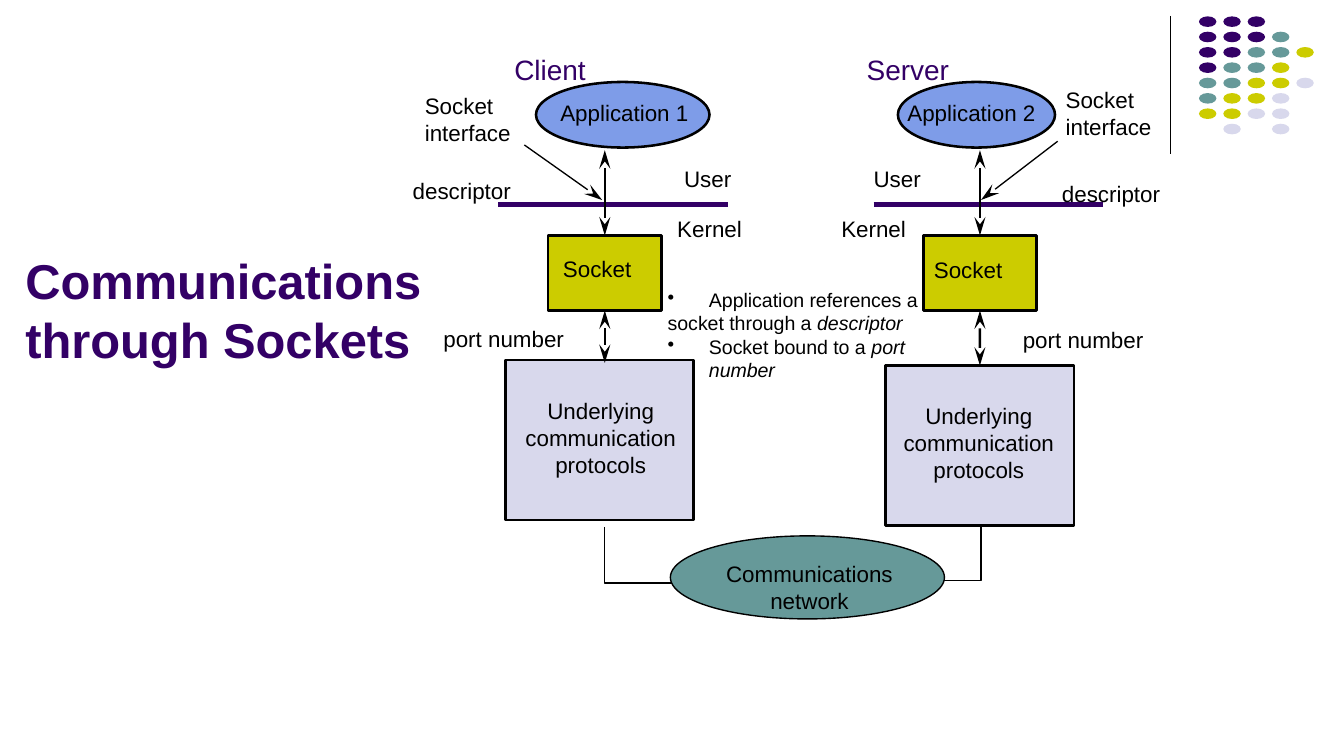
"""Build the slide on client and server communication through sockets."""
from lxml.etree import SubElement
from pptx import Presentation
from pptx.dml.color import RGBColor
from pptx.enum.shapes import MSO_CONNECTOR, MSO_SHAPE
from pptx.enum.text import MSO_ANCHOR, PP_ALIGN
from pptx.oxml.ns import qn
from pptx.util import Cm, Pt

HUES = {"plum": "330066", "teal": "669999", "lime": "CCCC00",
        "pale": "D8D8EC", "blue": "7E9CE8", "black": "000000"}

deck = Presentation()
deck.slide_width, deck.slide_height = Cm(25.4), Cm(14.29)
slide = deck.slides.add_slide(deck.slide_layouts[6])
shapes = slide.shapes


def draw(kind, box, fill, width=0):
    shape = shapes.add_shape(kind, *map(Cm, box))
    shape.shadow.inherit = False
    shape.fill.solid()
    shape.fill.fore_color.rgb = RGBColor.from_string(HUES[fill])
    if width:
        shape.line.color.rgb = RGBColor.from_string(HUES["black"])
        shape.line.width = Pt(width)
    else:
        shape.line.fill.background()
    return shape


def link(ends, width, hue="black", heads=()):
    line = shapes.add_connector(MSO_CONNECTOR.STRAIGHT, *map(Cm, ends))
    line.line.color.rgb = RGBColor.from_string(HUES[hue])
    line.line.width = Pt(width)
    edge = line.line._get_or_add_ln()
    for head in heads:
        SubElement(edge, qn(f"a:{head}"), type="stealth", w="med", len="lg")
    SubElement(line._element.spPr, qn("a:effectLst"))
    return line


link((22.12, 0.3, 22.12, 2.92), 0.75)
codes = {"P": "plum", "T": "teal", "Y": "lime", "L": "pale"}
dots = ["PPP", "PPPT", "PPTTY", "PTTY", "TTYYL", "TYYL", "YYLL", "-L-L"]
for row, marks in enumerate(dots):
    for col, mark in enumerate(marks):
        if mark in codes:
            spot = (22.66 + 0.46 * col, 0.31 + 0.29 * row, 0.33, 0.2)
            draw(MSO_SHAPE.OVAL, spot, codes[mark])

for start, *rest in [
    [(18.54, 9.93), (18.54, 10.97), (16.87, 10.97)],
    [(11.43, 9.96), (11.43, 11.02), (13.49, 11.02)],
]:
    path = shapes.build_freeform(*map(Cm, start), scale=1.0)
    path.add_line_segments([tuple(map(Cm, spot)) for spot in rest], close=False)
    wire = path.convert_to_shape()
    wire.shadow.inherit = False
    wire.fill.background()
    wire.line.color.rgb = RGBColor.from_string(HUES["black"])
    wire.line.width = Pt(0.7)
draw(MSO_SHAPE.OVAL, (12.67, 10.13, 5.18, 1.57), "teal", 0.75)

sides = [
    (11.43, 10.13, 3.28, 9.55, 6.81, (9.91, 2.74, 11.38, 3.78)),
    (18.52, 16.97, 2.97, 16.74, 6.91, (19.99, 2.67, 18.54, 3.78)),
]
for mid, left, wide, base, top, hint in sides:
    draw(MSO_SHAPE.OVAL, (left, 1.55, wide, 1.24), "blue", 1.35)
    socket = draw(MSO_SHAPE.RECTANGLE, (mid - 1.07, 4.45, 2.14, 1.42), "lime", 1.35)
    stack = draw(MSO_SHAPE.RECTANGLE, (base, top, 3.56, 3.02), "pale", 1.35)
    link((mid - 2.01, 3.86, mid + 2.33, 3.86), 2.7, "plum")
    both = ("headEnd", "tailEnd")
    upper = link((mid, 2.84, mid, 4.45), 1.35, heads=both)
    upper.end_connect(socket, 0)
    lower = link((mid, 5.87, mid, 6.86), 1.35, heads=both)
    lower.begin_connect(socket, 2)
    if abs(base + 1.78 - mid) < 0.01:
        lower.end_connect(stack, 0)
    link(hint, 0.7, heads=("tailEnd",))

plain = {"size": Pt(12), "bold": False, "hue": "black", "pad": 0,
         "anchor": MSO_ANCHOR.TOP, "align": PP_ALIGN.LEFT}
title = {**plain, "size": Pt(26.2), "bold": True, "hue": "plum",
         "pad": 0.25, "anchor": MSO_ANCHOR.BOTTOM}
role = {**plain, "size": Pt(15), "hue": "plum", "pad": 0.25}
block = {**plain, "pad": 0.25, "anchor": MSO_ANCHOR.MIDDLE,
         "align": PP_ALIGN.CENTER}
labels = [
    ("Communications through Sockets", (0.23, 4.95, 10.13, 2.13), title),
    ("Client", (9.47, 0.86, 1.9, 0.89), role),
    ("Server", (16.13, 0.86, 2.1, 0.89), role),
    ("descriptor", (7.8, 3.35, 1.9, 0.51), plain),
    ("descriptor", (20.07, 3.4, 1.9, 0.51), plain),
    ("port number", (8.38, 6.15, 2.32, 0.51), plain),
    ("port number", (19.33, 6.17, 2.32, 0.51), plain),
    ("Application 1", (10.59, 1.88, 3.02, 0.66), plain),
    ("Application 2", (17.15, 1.88, 2.77, 0.71), plain),
    ("Socket", (10.64, 4.83, 1.78, 0.61), plain),
    ("Socket", (17.65, 4.85, 1.78, 0.61), plain),
    ("Socket interface", (8.03, 1.75, 1.93, 0.91), plain),
    ("Socket interface", (20.14, 1.63, 1.88, 0.91), plain),
    ("User", (12.93, 3.12, 1.19, 0.51), plain),
    ("User", (16.51, 3.12, 1.27, 0.51), plain),
    ("Kernel", (12.8, 4.06, 1.45, 0.53), plain),
    ("Kernel", (15.9, 4.06, 1.5, 0.56), plain),
    ("Underlying communication protocols", (9.55, 7.37, 3.61, 1.8), block),
    ("Underlying communication protocols", (16.66, 7.47, 3.68, 1.8), block),
    ("Communications network", (13.23, 10.44, 4.14, 1.3), block),
]
for words, box, look in labels:
    frame = shapes.add_textbox(*map(Cm, box)).text_frame
    frame.word_wrap = True
    frame.vertical_anchor = look["anchor"]
    for side in ("left", "right", "top", "bottom"):
        pad = look["pad"] if side in ("left", "right") else look["pad"] / 2
        setattr(frame, f"margin_{side}", Cm(pad))
    para = frame.paragraphs[0]
    para.alignment = look["align"]
    run = para.add_run()
    run.text = words
    run.font.name = "Arial"
    for key in ("size", "bold"):
        setattr(run.font, key, look[key])
    run.font.color.rgb = RGBColor.from_string(HUES[look["hue"]])

frame = shapes.add_textbox(*map(Cm, (12.62, 5.44, 5.56, 1.35))).text_frame
frame.word_wrap = True
for side in ("left", "right", "top", "bottom"):
    setattr(frame, f"margin_{side}", 0)
notes = [
    (True, "Application references a", ""),
    (False, "socket through a ", "descriptor"),
    (True, "Socket bound to a ", "port number"),
]
for rank, (dot, words, term) in enumerate(notes):
    para = frame.add_paragraph() if rank else frame.paragraphs[0]
    if dot:
        props = para._p.get_or_add_pPr()
        props.set("marL", str(Cm(0.78)))
        props.set("indent", str(Cm(-0.78)))
        SubElement(props, qn("a:buChar"), char="•")
    for text, slant in ((words, False), (term, True)):
        if text:
            run = para.add_run()
            run.text = text
            look = {"name": "Arial", "size": Pt(10.5), "italic": slant}
            for key, value in look.items():
                setattr(run.font, key, value)
            run.font.color.rgb = RGBColor.from_string(HUES["black"])

deck.save("out.pptx")
